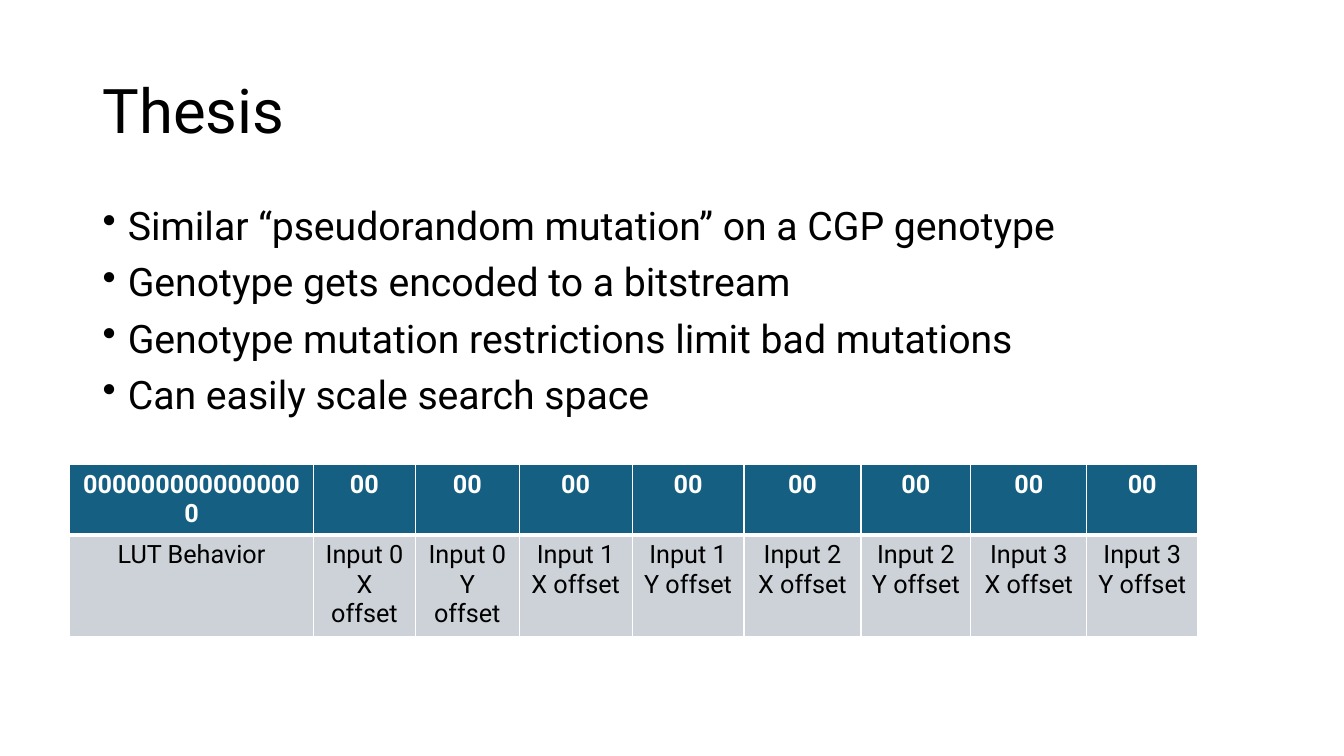
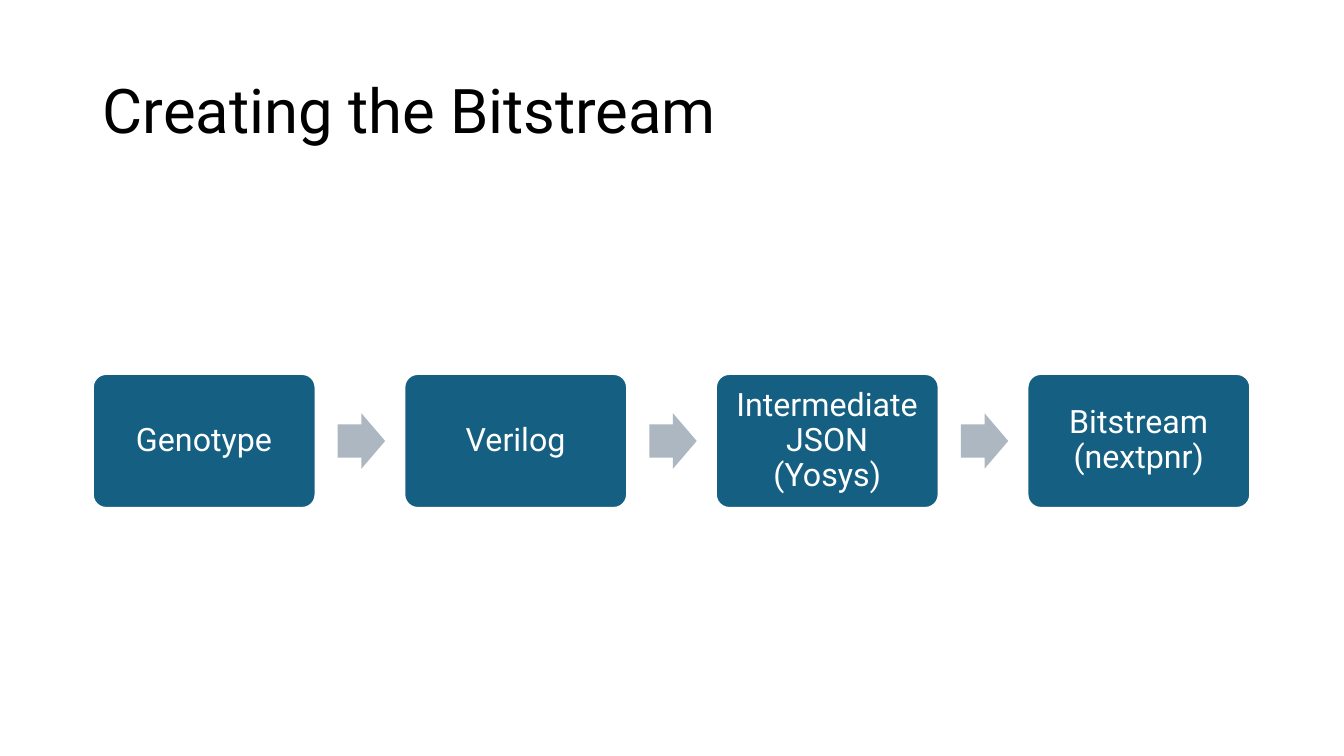
"""Build two slides: the thesis genotype and the steps to a bitstream."""
import pptx
import pptx.dml.color
import pptx.enum.shapes
import pptx.enum.text
import pptx.oxml
import pptx.oxml.ns
import pptx.util

Inches = pptx.util.Inches
Pt = pptx.util.Pt
SHAPE = pptx.enum.shapes.MSO_SHAPE
ALIGN = pptx.enum.text.PP_ALIGN
ANCHOR = pptx.enum.text.MSO_ANCHOR

FONT = "Roboto"
BLACK, WHITE = "000000", "FFFFFF"
TEAL, PALE, ARROW_GREY = "156082", "CCD2D8", "ACB7C1"
LEFT, WIDTH = 0.92, 11.5


def rgb(hex_color):
    return pptx.dml.color.RGBColor.from_string(hex_color)


def style(paragraph, size, color, bold=False, align=ALIGN.LEFT, spacing=0.9):
    paragraph.alignment = align
    paragraph.line_spacing = spacing
    for run in paragraph.runs:
        run.font.name = FONT
        run.font.size = Pt(size)
        run.font.bold = bold
        run.font.color.rgb = rgb(color)


deck = pptx.Presentation()
deck.slide_width, deck.slide_height = Inches(13.33), Inches(7.5)

slides = []
for heading in ["Thesis", "Creating the Bitstream"]:
    slide = deck.slides.add_slide(deck.slide_layouts[6])
    title = slide.shapes.add_textbox(Inches(LEFT), Inches(0.4), Inches(WIDTH), Inches(1.45))
    title.text_frame.word_wrap = True
    title.text_frame.vertical_anchor = ANCHOR.MIDDLE
    title.text_frame.text = heading
    style(title.text_frame.paragraphs[0], 44, BLACK)
    slides.append(slide)
thesis, creating = slides

points = thesis.shapes.add_textbox(Inches(LEFT), Inches(2), Inches(WIDTH), Inches(2.5))
points.text_frame.word_wrap = True
points.text_frame.text = "\n".join([
    "Similar “pseudorandom mutation” on a CGP genotype",
    "Genotype gets encoded to a bitstream",
    "Genotype mutation restrictions limit bad mutations",
    "Can easily scale search space",
])
for point in points.text_frame.paragraphs:
    style(point, 28, BLACK)
    point.space_before = Pt(10)
    properties = point._p.get_or_add_pPr()
    properties.set("marL", str(Inches(0.25)))
    properties.set("indent", str(Inches(-0.25)))
    bullet = pptx.oxml.parse_xml(f'<a:buChar {pptx.oxml.ns.nsdecls("a")} char="•"/>')
    properties.append(bullet)

fields = [("0" * 16, "LUT Behavior")]
fields += [("00", f"Input {number} {axis} offset") for number in range(4) for axis in "XY"]
field_widths = [2.42, 1.01, 1.03, 1.12, 1.11, 1.16, 1.09, 1.15, 1.1]
genotype = thesis.shapes.add_table(
    2, len(fields), Inches(0.69), Inches(4.61), Inches(sum(field_widths)), Inches(1.64)
).table
genotype.rows[0].height, genotype.rows[1].height = Inches(0.66), Inches(0.98)
row_styles = [
    (TEAL, WHITE, True, {"L": 1, "R": 1, "T": 1, "B": 3}),
    (PALE, BLACK, False, {"L": 1, "R": 1, "T": 3, "B": 1}),
]
for column, (field, field_width) in enumerate(zip(fields, field_widths)):
    genotype.columns[column].width = Inches(field_width)
    for row, (fill, color, bold, borders) in enumerate(row_styles):
        cell = genotype.cell(row, column)
        cell.text_frame.text = field[row]
        style(cell.text_frame.paragraphs[0], 18, color, bold, ALIGN.CENTER, 1.0)
        cell.fill.solid()
        cell.fill.fore_color.rgb = rgb(fill)
        for place, (side, weight) in enumerate(borders.items()):
            border = pptx.oxml.parse_xml(
                f'<a:ln{side} {pptx.oxml.ns.nsdecls("a")} w="{Pt(weight)}">'
                f'<a:solidFill><a:srgbClr val="{WHITE}"/></a:solidFill></a:ln{side}>'
            )
            cell._tc.get_or_add_tcPr().insert(place, border)

steps = ["Genotype", "Verilog", "Intermediate JSON\n(Yosys)", "Bitstream\n(nextpnr)"]
step_width, step_pitch = 2.21, 3.09
for index, label in enumerate(steps):
    x = LEFT + index * step_pitch
    step = creating.shapes.add_shape(
        SHAPE.ROUNDED_RECTANGLE, Inches(x), Inches(3.71), Inches(step_width), Inches(1.33)
    )
    step.adjustments[0] = 0.1
    step.shadow.inherit = False
    step.fill.solid()
    step.fill.fore_color.rgb = rgb(TEAL)
    step.line.color.rgb = rgb(WHITE)
    step.line.width = Pt(1.5)
    frame = step.text_frame
    frame.word_wrap = True
    frame.vertical_anchor = ANCHOR.MIDDLE
    frame.margin_left = frame.margin_right = Inches(0.1)
    frame.margin_top = frame.margin_bottom = Inches(0.1)
    frame.paragraphs[0].text = label
    style(frame.paragraphs[0], 23, WHITE, align=ALIGN.CENTER)

    if index < len(steps) - 1:
        arrow = creating.shapes.add_shape(
            SHAPE.RIGHT_ARROW, Inches(x + step_width + 0.22), Inches(4.1), Inches(0.47), Inches(0.55)
        )
        arrow.adjustments[0], arrow.adjustments[1] = 0.6, 0.5
        arrow.shadow.inherit = False
        arrow.fill.solid()
        arrow.fill.fore_color.rgb = rgb(ARROW_GREY)
        arrow.line.fill.background()

deck.save("out.pptx")
